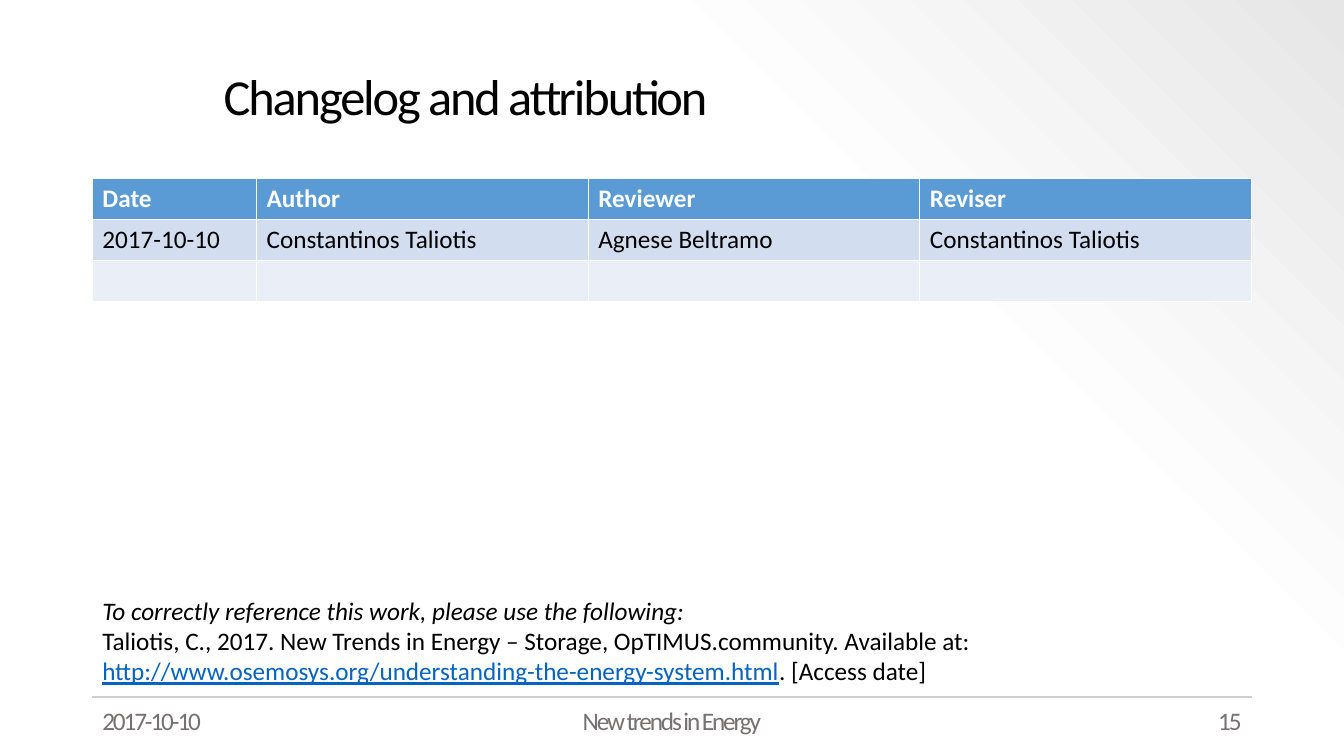
"""Build the changelog and attribution slide."""
from copy import deepcopy

from pptx import Presentation
from pptx.dml.color import RGBColor
from pptx.enum import shapes, text
from pptx.oxml.ns import qn
from pptx.util import Pt

COLORS = {"black": "000000", "white": "FFFFFF", "near_white": "FDFDFD",
          "shade": "E7E6E6", "rule": "D0CECE", "footer": "767171",
          "link": "0563C1", "header": "5B9BD5", "band_dark": "D2DEEF",
          "band_light": "EAEFF7"}
LEFT, WIDTH = 66, 828


def rgb(name):
    return RGBColor.from_string(COLORS[name])


def add_run(p, content, color="black", spacing=None, **formats):
    r = p.add_run()
    r.text = content
    for name, value in {"name": "Calibri", "size": Pt(18), **formats}.items():
        setattr(r.font, name, value)
    r.font.color.rgb = rgb(color)
    if spacing is not None:
        r.font._element.set("spc", str(int(spacing * 100)))


prs = Presentation()
prs.slide_width, prs.slide_height = Pt(960), Pt(540)
s = prs.slides.add_slide(prs.slide_layouts[5])

fill = s.background.fill
fill.gradient()
fill.gradient_angle = 45
stop_list = s.element.xpath(".//a:gsLst")[0]
stop_list.append(deepcopy(stop_list[-1]))
gradient = [(0, "white"), (0.69, "near_white"), (1, "shade")]
for stop, (position, color) in zip(fill.gradient_stops, gradient):
    stop.position = position
    stop.color.rgb = rgb(color)

rule = s.shapes.add_connector(shapes.MSO_CONNECTOR.STRAIGHT,
                              Pt(LEFT), Pt(498), Pt(LEFT + WIDTH), Pt(498))
rule.line.color.rgb = rgb("rule")
rule.line.width = Pt(1.5)
rule._element.spPr.append(rule._element.makeelement(qn("a:effectLst"), {}))

rows = [("header", "white", True, ["Date", "Author", "Reviewer", "Reviser"]),
        ("band_dark", "black", False, ["2017-10-10", "Constantinos Taliotis",
                                       "Agnese Beltramo", "Constantinos Taliotis"]),
        ("band_light", "black", False, [""] * 4)]
table = s.shapes.add_table(3, 4, Pt(LEFT), Pt(127.5), Pt(WIDTH), Pt(87.6)).table
for column, width in zip(table.columns, [117.3, 236.9, 236.9, 236.9]):
    column.width = Pt(width)
for row, (band, color, bold, values) in zip(table.rows, rows):
    row.height = Pt(29.2)
    for cell, value in zip(row.cells, values):
        cell.fill.solid()
        cell.fill.fore_color.rgb = rgb(band)
        if value:
            add_run(cell.text_frame.paragraphs[0], value, color, bold=bold)

footers = [(LEFT, 216, "2017-10-10", text.PP_ALIGN.LEFT),
           (318, 324, "New trends in Energy", text.PP_ALIGN.CENTER),
           (678, 216, "15", text.PP_ALIGN.RIGHT)]
for left, width, content, alignment in footers:
    tf = s.shapes.add_textbox(Pt(left), Pt(500.5), Pt(width), Pt(29)).text_frame
    tf.word_wrap = True
    p = tf.paragraphs[0]
    p.alignment = alignment
    add_run(p, content, "footer", -1.5)

title = s.shapes.title
title.left, title.top, title.width, title.height = Pt(152.5), Pt(26.5), Pt(741.5), Pt(88)
tf = title.text_frame
tf.vertical_anchor = text.MSO_ANCHOR.MIDDLE
p = tf.paragraphs[0]
p.alignment = text.PP_ALIGN.LEFT
p.line_spacing = 0.9
add_run(p, "Changelog and attribution", spacing=-1.5, size=Pt(36))

tf = s.shapes.add_textbox(Pt(LEFT), Pt(425), Pt(WIDTH), Pt(67)).text_frame
tf.word_wrap = True
tf.margin_top = tf.margin_bottom = 0
add_run(tf.paragraphs[0], "To correctly reference this work, please use the following:",
        italic=True)
p = tf.add_paragraph()
add_run(p, "Taliotis, C., 2017. New Trends in Energy – Storage, "
           "OpTIMUS.community. Available at: ")
add_run(p, "http://www.osemosys.org/understanding-the-energy-system.html",
        "link", underline=True)
add_run(p, ". [Access date]")

prs.save("out.pptx")
